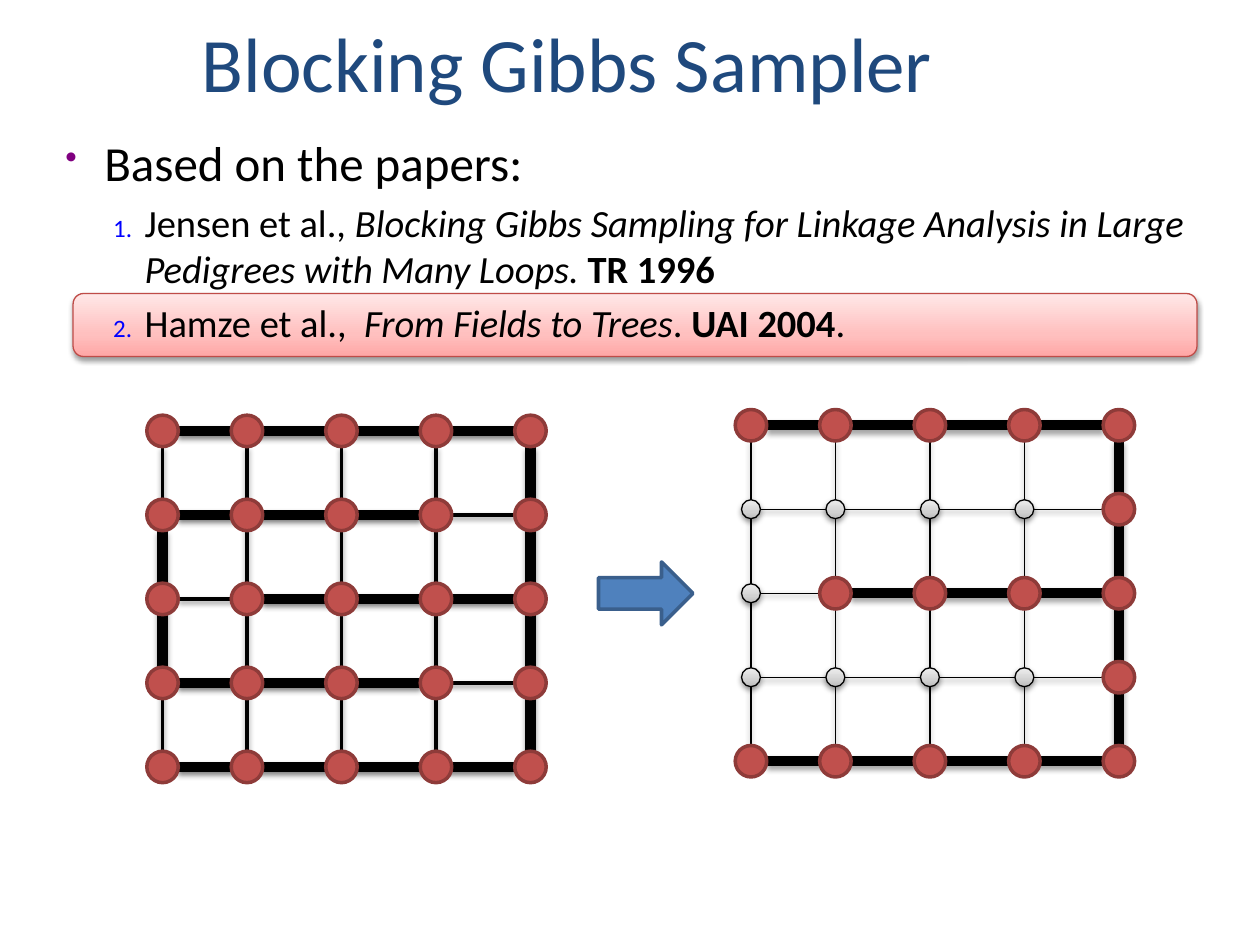
"""Builds the Blocking Gibbs Sampler slide: two grids, before and after sampling."""
from lxml import etree
from pptx import Presentation
from pptx.dml.color import RGBColor
from pptx.enum.shapes import MSO_CONNECTOR, MSO_SHAPE
from pptx.enum.text import MSO_ANCHOR, PP_ALIGN
from pptx.oxml.ns import qn
from pptx.util import Inches, Pt

TITLE = "Blocking Gibbs Sampler"
BULLET = ("buChar", {"char": "•"})
NUMBER = ("buAutoNum", {"type": "arabicPeriod"})
HEADING = {"size": 28, "level": 0, "margin": 0.31, "hang": 0.31,
           "marker": BULLET, "marker_color": "800080", "marker_percent": 70}
PAPER = {"size": 22, "level": 1, "margin": 0.63, "hang": 0.25,
         "marker": NUMBER, "marker_color": "0000FF", "marker_percent": 65}
BODY = [
    (HEADING, [("Based on the papers:", "")]),
    (PAPER, [("Jensen et al., ", ""),
             ("Blocking Gibbs Sampling for Linkage Analysis in Large Pedigrees with Many Loops. ", "i"),
             ("TR 1996", "b")]),
    (PAPER, [("Hamze et al.,  ", ""), ("From Fields to Trees", "i"), (". ", ""),
             ("UAI 2004", "b"), (".", "")]),
]

COLUMNS = [0, 0.67, 1.42, 2.17, 2.92]
ROW_STEP = 2 / 3
FULL_ROWS = [(0, row, 4, row) for row in range(5)]
FULL_COLUMNS = [(column, 0, column, 4) for column in range(5)]
GRIDS = [
    {"origin": (1.29, 3.42), "thin_width": 2,
     "nodes": ["TTTTT"] * 5,
     "thin": FULL_ROWS + FULL_COLUMNS,
     "thick": [(0, 0, 4, 0), (4, 0, 4, 4), (0, 4, 4, 4), (1, 2, 4, 2),
               (0, 1, 3, 1), (0, 3, 3, 3), (0, 1, 0, 3)]},
    {"origin": (5.96, 3.375), "thin_width": 0.75,
     "nodes": ["TTTTT", "ooooT", "oTTTT", "ooooT", "TTTTT"],
     "thin": [FULL_ROWS[1], FULL_ROWS[3], (0, 2, 1, 2)] + FULL_COLUMNS[:4],
     "thick": [FULL_ROWS[0], FULL_ROWS[4], (1, 2, 4, 2), FULL_COLUMNS[4]]},
]
RADIUS = {"T": 0.125, "o": 0.075}
PINK = [(0, "FFA6A5"), (35, "FFC0BF"), (100, "FFE7E7")]
GRAY = [(0, "BDBDBD"), (35, "D1D1D1"), (100, "EEEEEE")]


def rgb(hex_color):
    return RGBColor.from_string(hex_color)


def child(parent, tag, **attributes):
    return etree.SubElement(parent, qn("a:" + tag), {k: str(v) for k, v in attributes.items()})


def add_shadow(properties, opacity=38, distance=1.6):
    for inherited in properties.findall(qn("a:effectLst")):
        properties.remove(inherited)
    shadow = child(child(properties, "effectLst"), "outerShdw", blurRad=Pt(3.1),
                   dist=Pt(distance), dir=90 * 60000, rotWithShape=0)
    child(child(shadow, "srgbClr", val="000000"), "alpha", val=opacity * 1000)


def add_block(slide, kind, box, fill, line_color, line_width):
    block = slide.shapes.add_shape(kind, *map(Inches, box))
    block.shadow.inherit = False
    block.line.color.rgb = rgb(line_color)
    block.line.width = Pt(line_width)
    if isinstance(fill, str):
        block.fill.solid()
        block.fill.fore_color.rgb = rgb(fill)
        return
    block.fill.gradient()
    block.fill.gradient_angle = 90
    properties = block._element.spPr
    stops = properties.find(qn("a:gradFill")).find(qn("a:gsLst"))
    for stop in list(stops):
        stops.remove(stop)
    for position, color in fill:
        child(child(stops, "gs", pos=position * 1000), "srgbClr", val=color)
    add_shadow(properties)


def add_body(slide):
    frame = slide.shapes.add_textbox(*map(Inches, (0.42, 1, 9.33, 3.5))).text_frame
    frame.word_wrap = True
    for index, (style, runs) in enumerate(BODY):
        paragraph = frame.paragraphs[0] if index == 0 else frame.add_paragraph()
        paragraph.level = style["level"]
        paragraph.space_before = Pt(style["size"] * 0.2)
        paragraph.font.size = Pt(style["size"])
        paragraph.font.name = "Calibri"
        paragraph.font.color.rgb = rgb("000000")
        for text, emphasis in runs:
            run = paragraph.add_run()
            run.text = text
            if emphasis:
                run.font.italic = emphasis == "i"
                run.font.bold = emphasis == "b"
        properties = paragraph._p.get_or_add_pPr()
        properties.set("marL", str(Inches(style["margin"])))
        properties.set("indent", str(-Inches(style["hang"])))
        tag, attributes = style["marker"]
        default_run = properties.find(qn("a:defRPr"))
        child(child(properties, "buClr"), "srgbClr", val=style["marker_color"])
        child(properties, "buSzPct", val=style["marker_percent"] * 1000)
        child(properties, tag, **attributes)
        properties.append(default_run)


def add_edge(slide, grid, edge, width, opacity, distance):
    left, top = grid["origin"]
    column, row, end_column, end_row = edge
    start_gap = RADIUS[grid["nodes"][row][column]]
    end_gap = RADIUS[grid["nodes"][end_row][end_column]]
    across, down = (1, 0) if row == end_row else (0, 1)
    ends = (left + COLUMNS[column] + across * start_gap,
            top + row * ROW_STEP + down * start_gap,
            left + COLUMNS[end_column] - across * end_gap,
            top + end_row * ROW_STEP - down * end_gap)
    link = slide.shapes.add_connector(MSO_CONNECTOR.STRAIGHT, *map(Inches, ends))
    link.line.color.rgb = rgb("000000")
    link.line.width = Pt(width)
    add_shadow(link._element.spPr, opacity, distance)


def add_grid(slide, grid):
    for edge in grid["thin"]:
        add_edge(slide, grid, edge, grid["thin_width"], 38, 1.6)
    for edge in grid["thick"]:
        add_edge(slide, grid, edge, 6, 35, 1.8)
    left, top = grid["origin"]
    for row, kinds in enumerate(grid["nodes"]):
        for offset, kind in zip(COLUMNS, kinds):
            radius = RADIUS[kind]
            box = (left + offset - radius, top + row * ROW_STEP - radius, 2 * radius, 2 * radius)
            look = ("C0504D", "8E3B39", 2) if kind == "T" else (GRAY, "000000", 0.75)
            add_block(slide, MSO_SHAPE.OVAL, box, *look)


def main():
    deck = Presentation()
    deck.slide_width, deck.slide_height = Inches(10), Inches(7.5)
    slide = deck.slides.add_slide(deck.slide_layouts[5])
    title = slide.shapes.title
    title.left, title.top, title.width, title.height = map(Inches, (1.5, 0.08, 8, 0.83))
    title.text_frame.text = TITLE
    title.text_frame.vertical_anchor = MSO_ANCHOR.BOTTOM
    heading = title.text_frame.paragraphs[0]
    heading.alignment = PP_ALIGN.LEFT
    heading.font.size = Pt(44)
    heading.font.name = "Calibri"
    heading.font.color.rgb = rgb("1F497D")
    add_block(slide, MSO_SHAPE.ROUNDED_RECTANGLE, (0.58, 2.33, 8.92, 0.5), PINK, "BF4C48", 0.75)
    add_body(slide)
    for grid in GRIDS:
        add_grid(slide, grid)
    add_block(slide, MSO_SHAPE.RIGHT_ARROW, (4.75, 4.46, 0.75, 0.5), "4F81BD", "3A5F8C", 2)
    deck.save("out.pptx")


if __name__ == "__main__":
    main()
